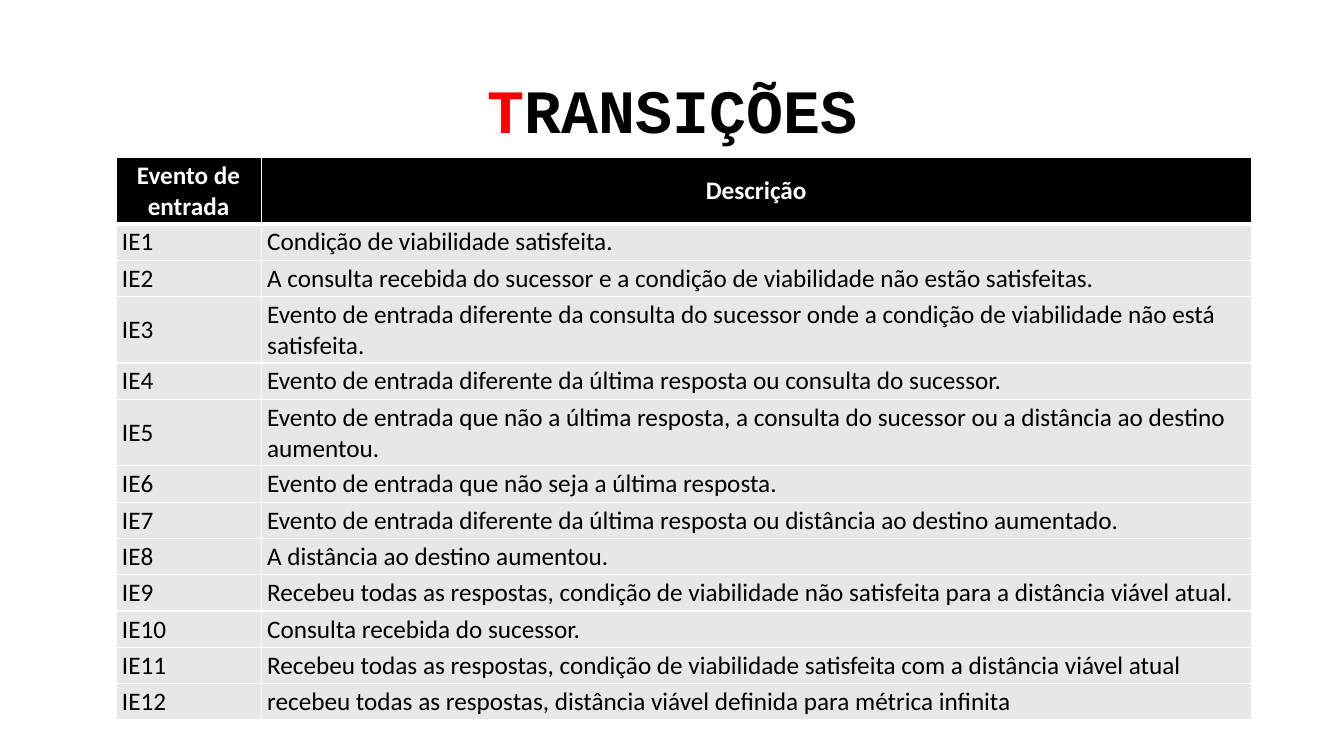
from pptx import Presentation
from pptx.dml.color import RGBColor as Rgb
from pptx.enum.text import MSO_ANCHOR as Anchor, PP_ALIGN as Align
from pptx.oxml import parse_xml
from pptx.oxml.ns import nsdecls
from pptx.util import Inches, Pt

COLORS = {"black": "000000", "white": "FFFFFF", "red": "FF0000", "gray": "E7E7E7"}
SINGLE_LINE, DOUBLE_LINE = 0.36, 0.65
EVENT_WIDTH, DESCRIPTION_WIDTH = 1.44, 9.82

descriptions = [
    "Condição de viabilidade satisfeita.",
    "A consulta recebida do sucessor e a condição de viabilidade não estão satisfeitas.",
    "Evento de entrada diferente da consulta do sucessor onde a condição de viabilidade não está satisfeita.",
    "Evento de entrada diferente da última resposta ou consulta do sucessor.",
    "Evento de entrada que não a última resposta, a consulta do sucessor ou a distância ao destino aumentou.",
    "Evento de entrada que não seja a última resposta.",
    "Evento de entrada diferente da última resposta ou distância ao destino aumentado.",
    "A distância ao destino aumentou.",
    "Recebeu todas as respostas, condição de viabilidade não satisfeita para a distância viável atual.",
    "Consulta recebida do sucessor.",
    "Recebeu todas as respostas, condição de viabilidade satisfeita com a distância viável atual",
    "recebeu todas as respostas, distância viável definida para métrica infinita",
]
rows = [("Evento de entrada", "Descrição")]
rows += [(f"IE{number}", text) for number, text in enumerate(descriptions, 1)]
double_rows = {0, 3, 5}


def add_text(para, text, font="Calibri", size=18, color="black", bold=False, align=Align.LEFT):
    para.alignment = align
    span = para.add_run()
    span.text = text
    span.font.name = font
    span.font.size = Pt(size)
    span.font.bold = bold
    span.font.color.rgb = Rgb.from_string(COLORS[color])


deck = Presentation()
deck.slide_width, deck.slide_height = Inches(13.33), Inches(7.5)
page = deck.slides.add_slide(deck.slide_layouts[6])

# Title with a red initial
box = page.shapes.add_textbox(Inches(0.92), Inches(0.4), Inches(11.5), Inches(1.45))
frame = box.text_frame
frame.word_wrap = True
frame.vertical_anchor = Anchor.MIDDLE
title = frame.paragraphs[0]
title.line_spacing = 0.9
for text, color in (("T", "red"), ("RANSIÇÕES", "black")):
    add_text(title, text, font="Courier New", size=44, color=color, bold=True, align=Align.CENTER)

# Table of input events
heights = [DOUBLE_LINE if index in double_rows else SINGLE_LINE for index in range(len(rows))]
table = page.shapes.add_table(
    len(rows), 2, Inches(1.15), Inches(1.56),
    Inches(EVENT_WIDTH + DESCRIPTION_WIDTH), Inches(sum(heights))).table
table.horz_banding = False
for column, width in zip(table.columns, (EVENT_WIDTH, DESCRIPTION_WIDTH)):
    column.width = Inches(width)

for row_index, (texts, height) in enumerate(zip(rows, heights)):
    table.rows[row_index].height = Inches(height)
    header = row_index == 0
    for column_index, text in enumerate(texts):
        cell = table.cell(row_index, column_index)
        cell.vertical_anchor = Anchor.MIDDLE
        cell.margin_left = cell.margin_right = Inches(0.06)
        cell.margin_top = cell.margin_bottom = Inches(0.03)

        # White borders, thicker between header and body
        thick_side = {0: "B", 1: "T"}.get(row_index)
        for side in "LRTB":
            width = Pt(3 if side == thick_side else 1)
            cell._tc.get_or_add_tcPr().append(parse_xml(
                f'<a:ln{side} {nsdecls("a")} w="{width}"><a:solidFill>'
                f'<a:srgbClr val="{COLORS["white"]}"/></a:solidFill></a:ln{side}>'))

        cell.fill.solid()
        cell.fill.fore_color.rgb = Rgb.from_string(COLORS["black" if header else "gray"])
        add_text(cell.text_frame.paragraphs[0], text, bold=header,
                 color="white" if header else "black",
                 align=Align.CENTER if header else Align.LEFT)

deck.save("out.pptx")
